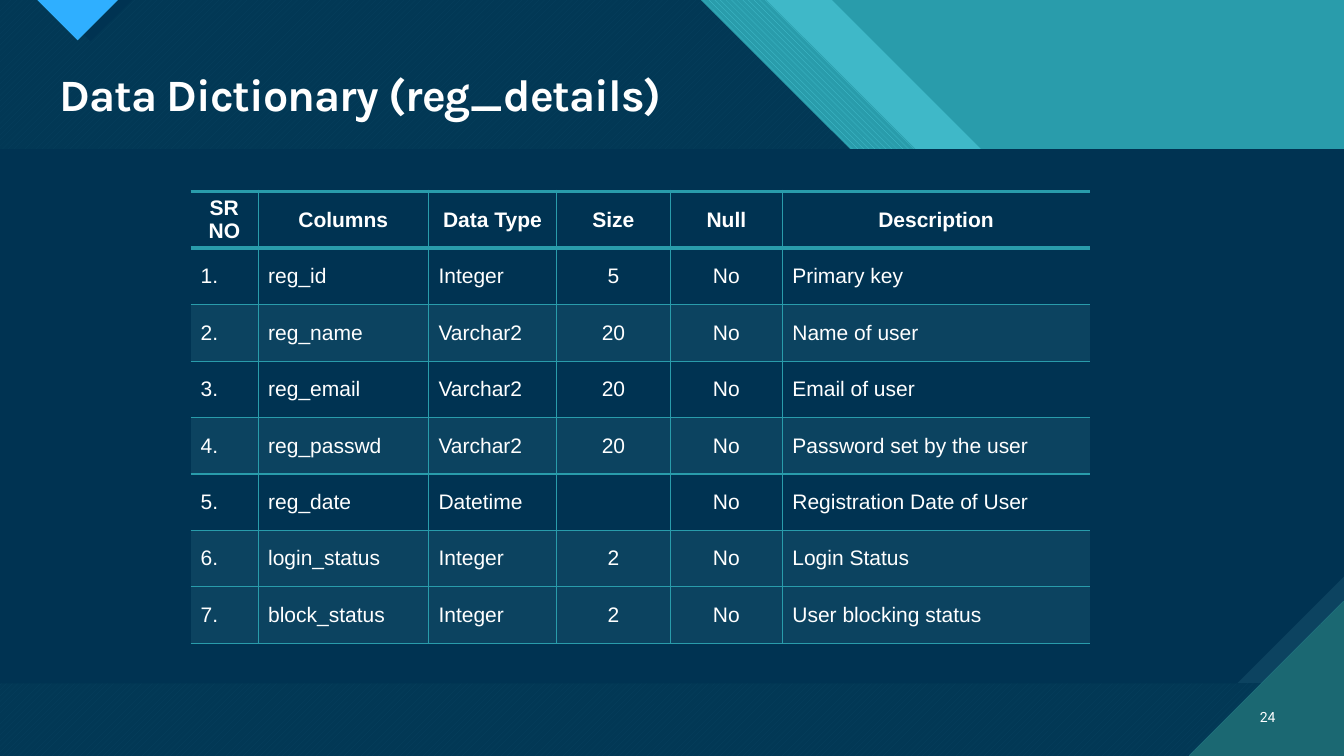
from dataclasses import dataclass
from typing import Optional

from lxml.etree import SubElement
from pptx import Presentation
from pptx.dml.color import RGBColor
from pptx.enum.dml import MSO_PATTERN
from pptx.enum.shapes import MSO_SHAPE
from pptx.enum.text import MSO_ANCHOR, MSO_AUTO_SIZE, PP_ALIGN
from pptx.oxml.ns import qn
from pptx.util import Inches, Pt

# Grid: a hundred columns and rows to the inch
UNIT = Inches(0.01)
COLUMNS, ROWS = 1333, 750
HEADER_ROWS, PANEL_ROWS = 148, 530

WHITE = RGBColor(0xFF, 0xFF, 0xFF)
NAVY = RGBColor(0x00, 0x33, 0x52)
STEEL = RGBColor(0x0C, 0x43, 0x60)
PINE = RGBColor(0x1B, 0x68, 0x72)
TEAL = RGBColor(0x29, 0x9C, 0xAB)
AQUA = RGBColor(0x47, 0xC3, 0xD3)
SKY = RGBColor(0x2F, 0xAF, 0xFF)


@dataclass(frozen=True)
class Paint:
    color: RGBColor
    back: Optional[RGBColor] = None
    pattern: Optional[MSO_PATTERN] = None
    opacity: int = 100


@dataclass(frozen=True)
class Panel:
    snip: float
    paint: Paint


@dataclass(frozen=True)
class Label:
    text: str
    area: tuple[int, int, int, int]
    font: str
    size: int
    bold: bool
    align: PP_ALIGN
    anchor: MSO_ANCHOR
    line_spacing: float = 1.0
    tracking: int = 0


@dataclass(frozen=True)
class TableColumn:
    heading: str
    width: int
    align: PP_ALIGN = PP_ALIGN.LEFT


def finish(shape, paint: Paint) -> None:
    shape.shadow.inherit = False
    shape.line.fill.background()
    if paint.pattern is not None:
        shape.fill.patterned()
        shape.fill.pattern = paint.pattern
        shape.fill.fore_color.rgb = paint.color
        shape.fill.back_color.rgb = paint.back
        return
    shape.fill.solid()
    shape.fill.fore_color.rgb = paint.color
    if paint.opacity < 100:
        color = shape._element.spPr.find(".//" + qn("a:srgbClr"))
        SubElement(color, qn("a:alpha")).set("val", str(paint.opacity * 1000))


def draw_outline(page, points: list[tuple[int, int]], paint: Paint) -> None:
    builder = page.shapes.build_freeform(*points[0], scale=UNIT)
    builder.add_line_segments(points[1:], close=True)
    finish(builder.convert_to_shape(), paint)


def draw_band(page, top: int, step: int, shelf: int, paint: Paint) -> None:
    """A field whose right edge falls at 45 degrees, with a flat shelf."""
    slope_end = top + step
    shelf_end = slope_end + shelf
    points = [(0, 0), (top, 0), (slope_end, step), (shelf_end, step),
              (COLUMNS, step + COLUMNS - shelf_end), (COLUMNS, ROWS), (0, ROWS)]
    draw_outline(page, points, paint)


def draw_panel(page, panel: Panel) -> None:
    shape = page.shapes.add_shape(MSO_SHAPE.SNIP_1_RECTANGLE, 0, HEADER_ROWS * UNIT,
                                  COLUMNS * UNIT, PANEL_ROWS * UNIT)
    shape.adjustments[0] = panel.snip
    shape._element.spPr.find(qn("a:xfrm")).set("flipV", "1")
    finish(shape, panel.paint)


def style_text(para, font: str, size: int, bold: bool, align: PP_ALIGN) -> None:
    para.alignment = align
    for span in para.runs:
        span.font.name = font
        span.font.size = Pt(size)
        span.font.bold = bold
        span.font.color.rgb = WHITE


def draw_label(page, label: Label) -> None:
    box = page.shapes.add_textbox(*(length * UNIT for length in label.area))
    frame = box.text_frame
    frame.text = label.text
    frame.word_wrap = True
    frame.auto_size = MSO_AUTO_SIZE.NONE
    frame.vertical_anchor = label.anchor
    para = frame.paragraphs[0]
    para.line_spacing = label.line_spacing
    style_text(para, label.font, label.size, label.bold, label.align)
    if label.tracking:
        para.runs[0]._r.get_or_add_rPr().set("spc", str(label.tracking))


def set_borders(cell, widths: dict[str, int]) -> None:
    """Widths in points by side; zero hides the side."""
    properties = cell._tc.get_or_add_tcPr()
    for index, (side, width) in enumerate(widths.items()):
        line = SubElement(properties, qn(f"a:ln{side}"))
        properties.insert(index, line)
        if width:
            line.set("w", str(Pt(width)))
            fill = SubElement(line, qn("a:solidFill"))
            SubElement(fill, qn("a:srgbClr")).set("val", str(TEAL))
        else:
            SubElement(line, qn("a:noFill"))


def draw_table(page, columns: list[TableColumn], records: list[tuple[str, ...]]) -> None:
    lines = [tuple(column.heading for column in columns), *records]
    heights = [40] + [56] * len(records)
    width = sum(column.width for column in columns)
    table = page.shapes.add_table(len(lines), len(columns), 189 * UNIT, 190 * UNIT,
                                  width * UNIT, sum(heights) * UNIT).table
    table.horz_banding = False
    for column, plan in zip(table.columns, columns):
        column.width = plan.width * UNIT
    for row_index, line in enumerate(lines):
        table.rows[row_index].height = heights[row_index] * UNIT
        heading = row_index == 0
        for column_index, (plan, text) in enumerate(zip(columns, line)):
            cell = table.cell(row_index, column_index)
            cell.text_frame.text = text
            cell.vertical_anchor = MSO_ANCHOR.MIDDLE
            align = PP_ALIGN.CENTER if heading else plan.align
            style_text(cell.text_frame.paragraphs[0], "Arial", 15, heading, align)
            if row_index in SHADED_ROWS:
                cell.fill.solid()
                cell.fill.fore_color.rgb = STEEL
            else:
                cell.fill.background()
            set_borders(cell, {"L": int(column_index > 0),
                               "R": int(column_index < len(columns) - 1),
                               "T": 3 if row_index < 2 else 1,
                               "B": 3 if heading else 1})


SHADED_ROWS = {2, 4, 6, 7}
TABLE_COLUMNS = [
    TableColumn("SR NO", 67),
    TableColumn("Columns", 169),
    TableColumn("Data Type", 127),
    TableColumn("Size", 113, PP_ALIGN.CENTER),
    TableColumn("Null", 111, PP_ALIGN.CENTER),
    TableColumn("Description", 305),
]
RECORDS = [
    ("1.", "reg_id", "Integer", "5", "No", "Primary key"),
    ("2.", "reg_name", "Varchar2", "20", "No", "Name of user"),
    ("3.", "reg_email", "Varchar2", "20", "No", "Email of user"),
    ("4.", "reg_passwd", "Varchar2", "20", "No", "Password set by the user"),
    ("5.", "reg_date", "Datetime", "", "No", "Registration Date of User"),
    ("6.", "login_status", "Integer", "2", "No", "Login Status"),
    ("7.", "block_status", "Integer", "2", "No", "User blocking status"),
]
BANDS = [
    (825, 112, Paint(AQUA, opacity=74)),
    (760, 126, Paint(AQUA, TEAL, MSO_PATTERN.WIDE_DOWNWARD_DIAGONAL)),
    (695, 126, Paint(AQUA, PINE, MSO_PATTERN.WIDE_UPWARD_DIAGONAL)),
    (695, 126, Paint(NAVY, opacity=90)),
]
PANELS = [
    Panel(0, Paint(STEEL, PINE, MSO_PATTERN.DARK_VERTICAL)),
    Panel(0.2, Paint(NAVY)),
]
LABELS = [
    Label("Data Dictionary (reg_details)", (49, 67, 1226, 59), "Karla", 32, True,
          PP_ALIGN.LEFT, MSO_ANCHOR.TOP, 0.9, -70),
    Label("24", (1231, 691, 44, 40), "Roboto", 10, False,
          PP_ALIGN.RIGHT, MSO_ANCHOR.MIDDLE),
]


def main() -> None:
    deck = Presentation()
    deck.slide_width, deck.slide_height = COLUMNS * UNIT, ROWS * UNIT
    page = deck.slides.add_slide(deck.slide_layouts[6])

    # Backdrop and diagonal bands
    page.background.fill.solid()
    page.background.fill.fore_color.rgb = TEAL
    for top, shelf, paint in BANDS:
        draw_band(page, top, 297, shelf, paint)

    # Pointer at the top edge, with its shade
    draw_outline(page, [(48, 0), (131, 0), (90, 41)], Paint(NAVY))
    draw_outline(page, [(37, 0), (117, 0), (77, 40)],
                 Paint(SKY, PINE, MSO_PATTERN.DARK_HORIZONTAL))

    # Content panel and page corner
    for panel in PANELS:
        draw_panel(page, panel)
    draw_outline(page, [(COLUMNS - 154, ROWS), (COLUMNS, ROWS), (COLUMNS, ROWS - 154)],
                 Paint(PINE, AQUA, MSO_PATTERN.DARK_HORIZONTAL))

    # Title, page number and table
    for label in LABELS:
        draw_label(page, label)
    draw_table(page, TABLE_COLUMNS, RECORDS)
    deck.save("out.pptx")


if __name__ == "__main__":
    main()
